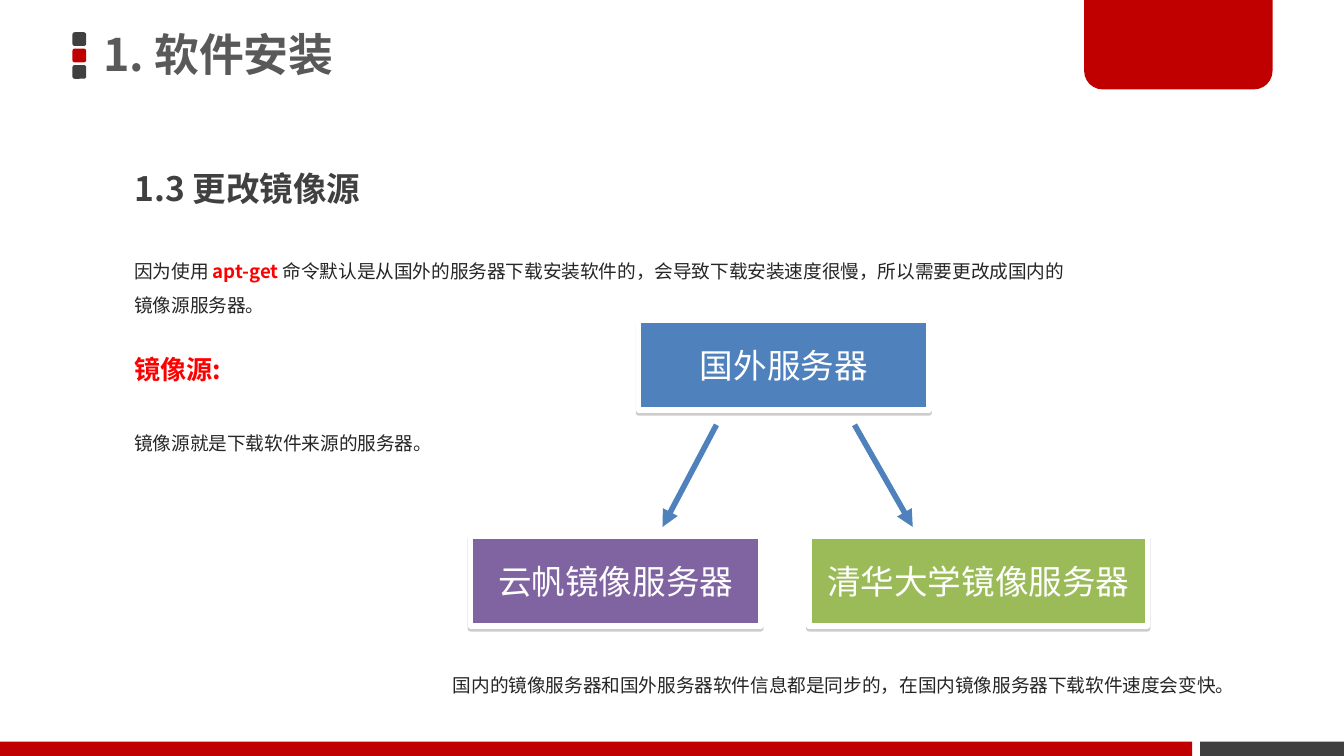
from lxml import etree
from pptx import Presentation
from pptx.dml.color import RGBColor
from pptx.enum.shapes import MSO_CONNECTOR, MSO_SHAPE
from pptx.enum.text import MSO_ANCHOR, PP_ALIGN
from pptx.oxml import parse_xml
from pptx.oxml.ns import nsdecls, qn
from pptx.util import Cm, Pt

RECT = MSO_SHAPE.RECTANGLE
ROUND = MSO_SHAPE.ROUNDED_RECTANGLE
FLAG = MSO_SHAPE.ROUND_2_SAME_RECTANGLE
LINE = MSO_CONNECTOR.STRAIGHT
MID, TOP = MSO_ANCHOR.MIDDLE, MSO_ANCHOR.TOP
LEFT, CENTER = PP_ALIGN.LEFT, PP_ALIGN.CENTER

WHITE = RGBColor(0xFF, 0xFF, 0xFF)
RED = RGBColor(0xC0, 0x00, 0x00)
BRIGHT = RGBColor(0xFF, 0x00, 0x00)
DARK = RGBColor(0x40, 0x40, 0x40)
GRAY = RGBColor(0x59, 0x59, 0x59)
INK = RGBColor(0x26, 0x26, 0x26)
BLUE = RGBColor(0x4F, 0x81, 0xBD)
PURPLE = RGBColor(0x80, 0x64, 0xA2)
GREEN = RGBColor(0x9B, 0xBB, 0x59)
SANS = "Noto Sans CJK SC"

WIDE, HIGH = 25.4, 14.29
EDGE = 2.29
BAR = 14.02
DOTS = [DARK, RED, DARK]

TEXTS = [
    ((1.75, -0.05, 14.96, 2.26), "1. 软件安装",
     dict(size=24, color=GRAY, bold=True, space=0.9, anchor=MID, pad=(0.2, 0.1))),
    ((EDGE, 2.67, 9.75, 1.4), "1.3 更改镜像源",
     dict(size=18, color=DARK, bold=True, space=1.5)),
    ((EDGE, 4.57, 18.21, 1.52),
     [("因为使用 ", INK, False), ("apt-get ", BRIGHT, True),
      ("命令默认是从国外的服务器下载安装软件的，会导致下载安装速度很慢，"
       "所以需要更改成国内的镜像源服务器。", INK, False)],
     dict(space=1.5)),
    ((EDGE, 6.55, 4.37, 0.86), "镜像源:",
     dict(size=14, color=BRIGHT, bold=True)),
    ((EDGE, 8.03, 7.24, 0.69), "镜像源就是下载软件来源的服务器。", {}),
    ((8.31, 12.6, 16.64, 0.69),
     "国内的镜像服务器和国外服务器软件信息都是同步的，在国内镜像服务器下载软件速度会变快。", {}),
]

HOSTS = [
    ("国外服务器", 12.07, 6.05, 5.49, BLUE),
    ("云帆镜像服务器", 8.89, 10.13, 5.49, PURPLE),
    ("清华大学镜像服务器", 15.29, 10.13, 6.4, GREEN),
]
TALL = 1.7
ARROWS = [(13.54, 12.52), (16.15, 17.25)]
START, END = 8.03, 9.96


def write(shape, text, size=10, color=INK, bold=False, font=SANS,
          space=1.0, align=LEFT, anchor=TOP, pad=(0.25, 0.13)):
    frame = shape.text_frame
    frame.word_wrap = True
    frame.vertical_anchor = anchor
    frame.margin_left = frame.margin_right = Cm(pad[0])
    frame.margin_top = frame.margin_bottom = Cm(pad[1])
    para = frame.paragraphs[0]
    para.alignment = align
    para.line_spacing = space
    runs = [(text, color, bold)] if isinstance(text, str) else text
    for words, tint, heavy in runs:
        run = para.add_run()
        run.text = words
        run.font.size = Pt(size)
        run.font.bold = heavy
        run.font.color.rgb = tint
        run.font.name = font
        east = etree.SubElement(run.font._element, qn("a:ea"))
        east.set("typeface", SANS)


def draw(kind, box, fill):
    shape = slide.shapes.add_shape(kind, *map(Cm, box))
    shape.shadow.inherit = False
    shape.fill.solid()
    shape.fill.fore_color.rgb = fill
    shape.line.fill.background()
    return shape


def shade(shape):
    spot = shape._element.spPr.find(qn("a:effectLst"))
    spot.append(parse_xml(
        f'<a:outerShdw {nsdecls("a")} blurRad="0" dist="{Pt(1.6)}" dir="5400000" '
        'rotWithShape="0"><a:srgbClr val="808080"><a:alpha val="38000"/>'
        '</a:srgbClr></a:outerShdw>'))


deck = Presentation()
deck.slide_width, deck.slide_height = Cm(WIDE), Cm(HIGH)
slide = deck.slides.add_slide(deck.slide_layouts[6])

for row, fill in enumerate(DOTS):
    draw(ROUND, (1.37, 0.61 + 0.31 * row, 0.26, 0.26), fill)
draw(RECT, (22.68, BAR, WIDE - 22.68, HIGH - BAR), DARK)
flag = draw(FLAG, (20.49, -0.05, 3.56, 1.74), RED)
flag.adjustments[0] = 0
flag.adjustments[1] = 0.2
draw(RECT, (0, BAR, 22.53, HIGH - BAR), RED)

for box, text, style in TEXTS:
    write(slide.shapes.add_textbox(*map(Cm, box)), text, **style)

for name, left, top, width, fill in HOSTS:
    host = draw(RECT, (left, top, width, TALL), fill)
    host.line.color.rgb = WHITE
    host.line.width = Pt(3)
    shade(host)
    write(host, name, size=18, color=WHITE, font="Calibri", align=CENTER, anchor=MID)

for tail, tip in ARROWS:
    arrow = slide.shapes.add_connector(LINE, Cm(tail), Cm(START), Cm(tip), Cm(END))
    arrow.line.color.rgb = BLUE
    arrow.line.width = Pt(3)
    etree.SubElement(arrow.line._get_or_add_ln(), qn("a:tailEnd")).set("type", "triangle")
    etree.SubElement(arrow._element.spPr, qn("a:effectLst"))

deck.save("out.pptx")
